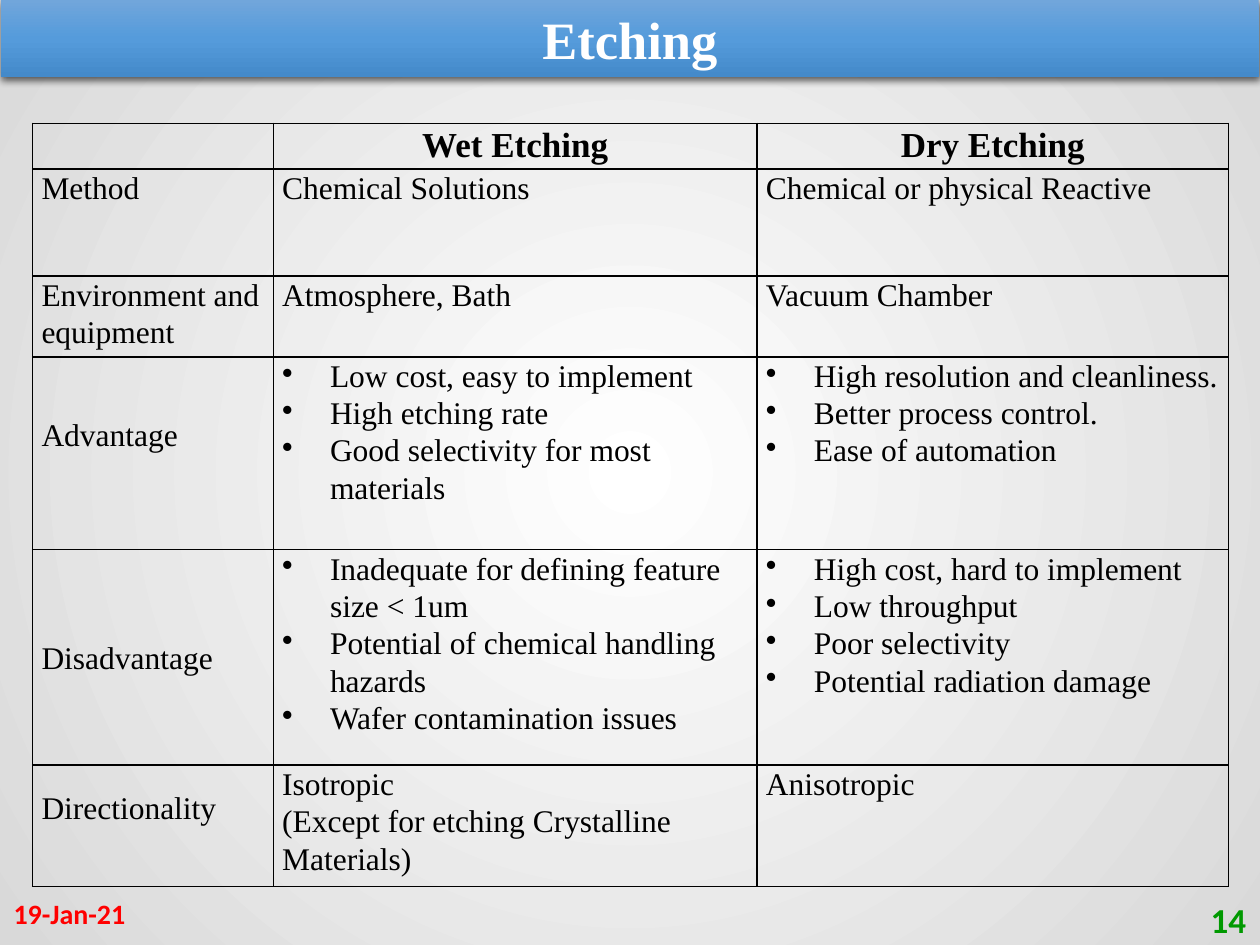
"""Build a slide that compares wet and dry etching in a table."""
from pptx import Presentation, oxml, util as u
from pptx.dml import color
from pptx.enum import shapes, text
from pptx.oxml import ns

THEME = {
    "title": {"name": "Times New Roman", "size": 30, "bold": True, "color": "FFFFFF"},
    "header": {"name": "Times New Roman", "size": 20, "bold": True, "color": "000000"},
    "body": {"name": "Times New Roman", "size": 18, "bold": False, "color": "000000"},
    "date": {"name": "Calibri", "size": 16, "bold": True, "color": "FF0000"},
    "number": {"name": "Calibri", "size": 20, "bold": True, "color": "009900"},
    "background": [(0, "FFFFFF"), (100, "D9D9D9")],
    "banner": [(0, "71A6DB"), (50, "559BDB"), (100, "448ACA")],
    "border": "000000",
}
LEFT, CENTER, RIGHT = text.PP_ALIGN.LEFT, text.PP_ALIGN.CENTER, text.PP_ALIGN.RIGHT


def gradient(stops, direction):
    """Return gradient fill markup for percent and colour stops."""
    marks = "".join(
        f'<a:gs pos="{percent * 1000}"><a:srgbClr val="{value}"/></a:gs>' for percent, value in stops
    )
    return f'<a:gradFill {ns.nsdecls("a")} rotWithShape="1"><a:gsLst>{marks}</a:gsLst>{direction}</a:gradFill>'


def write(frame, lines, style, alignment=LEFT, spacing=None, bullet=False):
    """Write one styled paragraph for each line."""
    for index, line in enumerate(lines):
        paragraph = frame.add_paragraph() if index else frame.paragraphs[0]
        paragraph.alignment = alignment
        paragraph.line_spacing = spacing
        run = paragraph.add_run()
        run.text = line
        values = THEME[style]
        formats = {"name": values["name"], "size": u.Pt(values["size"]), "bold": values["bold"]}
        for name, value in formats.items():
            setattr(run.font, name, value)
        run.font.color.rgb = color.RGBColor.from_string(values["color"])
        if bullet:
            properties = paragraph._p.get_or_add_pPr()
            properties.set("marL", str(u.Inches(0.38)))
            properties.set("indent", str(-u.Inches(0.38)))
            properties.append(oxml.parse_xml(f'<a:buChar {ns.nsdecls("a")} char="•"/>'))


presentation = Presentation()
presentation.slide_width, presentation.slide_height = u.Inches(10), u.Inches(7.5)
slide = presentation.slides.add_slide(presentation.slide_layouts[6])

slide.background.fill.solid()
background = slide._element.cSld.bg.bgPr
circle = '<a:path path="circle"><a:fillToRect l="50000" t="50000" r="50000" b="50000"/></a:path>'
background.replace(background[0], oxml.parse_xml(gradient(THEME["background"], circle)))

banner = slide.shapes.add_shape(
    shapes.MSO_SHAPE.RECTANGLE, u.Inches(0.01), 0, u.Inches(9.98), u.Inches(0.61)
)
banner.line.fill.background()
banner.fill.solid()
fill = banner._element.spPr.find(ns.qn("a:solidFill"))
downward = '<a:lin ang="5400000" scaled="0"/>'
banner._element.spPr.replace(fill, oxml.parse_xml(gradient(THEME["banner"], downward)))
banner.shadow.inherit = False
banner._element.spPr.find(ns.qn("a:effectLst")).append(oxml.parse_xml(
    f'<a:outerShdw {ns.nsdecls("a")} blurRad="{u.Pt(4.5)}" dist="{u.Pt(1.5)}" dir="5400000" '
    'algn="ctr" rotWithShape="0"><a:srgbClr val="000000"><a:alpha val="63000"/></a:srgbClr></a:outerShdw>'
))
banner.text_frame.vertical_anchor = text.MSO_ANCHOR.MIDDLE
write(banner.text_frame, ["Etching"], "title", CENTER)

for label, style, left, top, alignment in [
    ("19-Jan-21", "date", 0.01, 7.05, LEFT),
    ("14", "number", 7.66, 7.1, RIGHT),
]:
    footer = slide.shapes.add_textbox(u.Inches(left), u.Inches(top), u.Inches(2.33), u.Inches(0.4))
    footer.text_frame.word_wrap = True
    footer.text_frame.vertical_anchor = text.MSO_ANCHOR.MIDDLE
    write(footer.text_frame, [label], style, alignment)

rows = [
    ([], ["Wet Etching"], ["Dry Etching"]),
    (["Method"], ["Chemical Solutions"], ["Chemical or physical Reactive"]),
    (["Environment and", "equipment"], ["Atmosphere, Bath"], ["Vacuum Chamber"]),
    (
        ["Advantage"],
        ["Low cost, easy to implement", "High etching rate", "Good selectivity for most materials"],
        ["High resolution and cleanliness.", "Better process control.", "Ease of automation"],
    ),
    (
        ["Disadvantage"],
        [
            "Inadequate for defining feature size < 1um",
            "Potential of chemical handling hazards",
            "Wafer contamination issues",
        ],
        ["High cost, hard to implement", "Low throughput", "Poor selectivity", "Potential radiation damage"],
    ),
    (["Directionality"], ["Isotropic", "(Except for etching Crystalline", "Materials)"], ["Anisotropic"]),
]
column_widths = [1.91, 3.84, 3.74]
row_heights = [0.36, 0.85, 0.64, 1.53, 1.71, 0.96]
middle_rows, raised_rows, bullet_rows = (3, 4, 5), (3, 5), (3, 4)

table = slide.shapes.add_table(
    len(rows), len(column_widths), u.Inches(0.26), u.Inches(0.98),
    u.Inches(sum(column_widths)), u.Inches(sum(row_heights)),
).table
table.first_row = table.horz_banding = False
for column, width in zip(table.columns, column_widths):
    column.width = u.Inches(width)
for row, height in zip(table.rows, row_heights):
    row.height = u.Inches(height)

for row_index, row in enumerate(rows):
    for column_index, lines in enumerate(row):
        cell = table.cell(row_index, column_index)
        is_label = column_index == 0
        raised = is_label and row_index in raised_rows
        middle = is_label and row_index in middle_rows
        formats = {
            "margin_left": u.Inches(0.07),
            "margin_right": u.Inches(0.07),
            "margin_top": 0,
            "margin_bottom": u.Inches(0.29 if raised else 0),
            "vertical_anchor": text.MSO_ANCHOR.MIDDLE if middle else text.MSO_ANCHOR.TOP,
        }
        for name, value in formats.items():
            setattr(cell, name, value)
        for side in ("lnL", "lnR", "lnT", "lnB"):
            cell._tc.get_or_add_tcPr().append(oxml.parse_xml(
                f'<a:{side} {ns.nsdecls("a")} w="{u.Pt(1)}"><a:solidFill>'
                f'<a:srgbClr val="{THEME["border"]}"/></a:solidFill></a:{side}>'
            ))
        cell.fill.background()
        style, alignment = ("body", LEFT) if row_index else ("header", CENTER)
        bullet = row_index in bullet_rows and not is_label
        write(cell.text_frame, lines, style, alignment, 1.07, bullet)

presentation.save("out.pptx")
